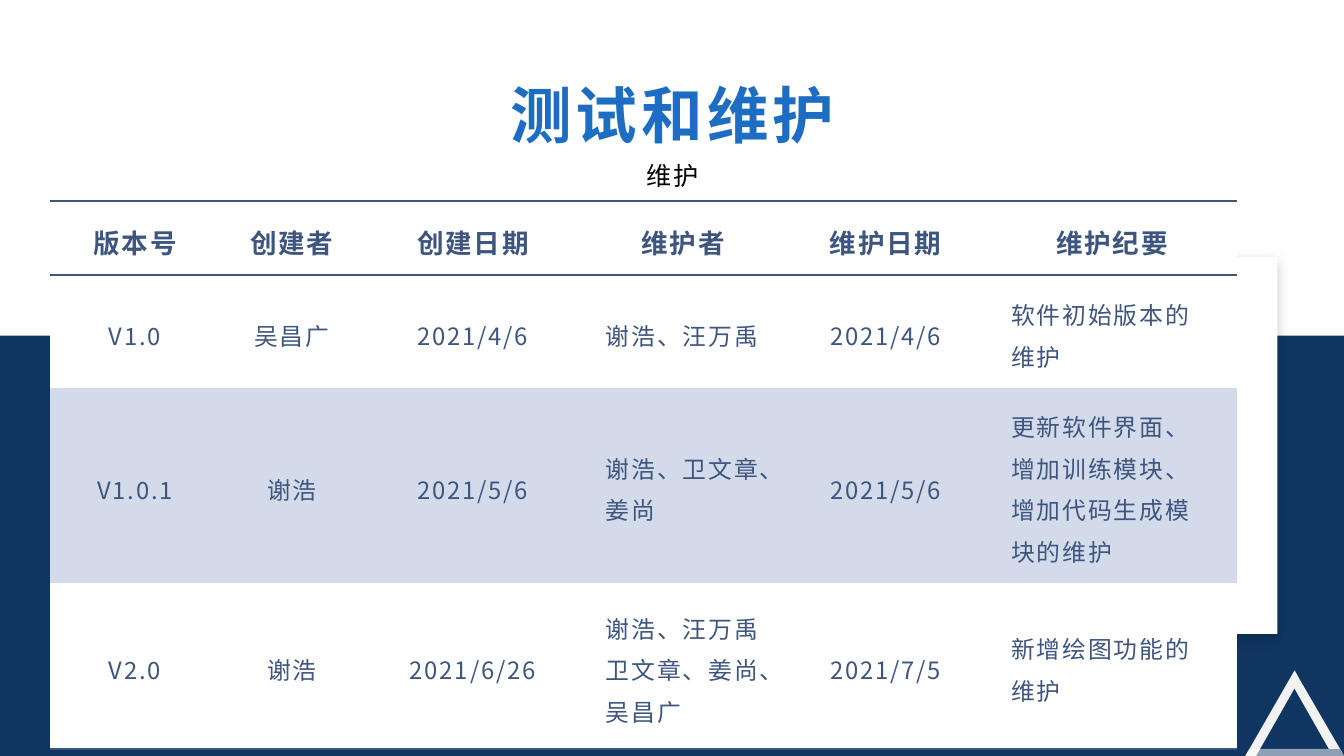
import pptx
import pptx.dml.color
import pptx.enum.shapes
import pptx.enum.text
import pptx.oxml.ns
import pptx.util
from lxml import etree

Inches = pptx.util.Inches
ALIGN = pptx.enum.text.PP_ALIGN
ANCHOR = pptx.enum.text.MSO_ANCHOR
FONT = "Noto Sans CJK SC"
NAVY, SLATE, BLUE, WHITE = "0F3661", "3D557F", "1D6DC2", "FFFFFF"
COLUMN_WIDTHS = [1.68, 1.43, 2.16, 2.01, 2.01, 2.48]
ROW_HEIGHTS = [0.74, 1.12, 1.93, 1.65]
LEFT_ALIGNED_COLUMNS = (3, 5)
RECORDS = [
    ["版本号", "创建者", "创建日期", "维护者", "维护日期", "维护纪要"],
    ["V1.0", "吴昌广", "2021/4/6", "谢浩、汪万禹", "2021/4/6", "软件初始版本的维护"],
    ["V1.0.1", "谢浩", "2021/5/6", "谢浩、卫文章、姜尚", "2021/5/6",
     "更新软件界面、增加训练模块、增加代码生成模块的维护"],
    ["V2.0", "谢浩", "2021/6/26", "谢浩、汪万禹卫文章、姜尚、吴昌广", "2021/7/5",
     "新增绘图功能的维护"],
]


def rgb(color):
    return pptx.dml.color.RGBColor.from_string(color)


def add_xml(parent, tag, **attributes):
    return etree.SubElement(parent, pptx.oxml.ns.qn(tag), attributes)


def format_text(paragraph, size, color, spacing, align, bold=False):
    """Format every run; spacing is the letter spacing in points."""
    paragraph.alignment = align
    for run in paragraph.runs:
        run.font.size = pptx.util.Pt(size)
        run.font.bold = bold
        run.font.color.rgb = rgb(color)
        run.font.name = FONT
        properties = run.font._element
        properties.set("spc", str(round(spacing * 100)))
        add_xml(properties, "a:ea", typeface=FONT)


def paint(shape, color):
    shape.fill.solid()
    shape.fill.fore_color.rgb = rgb(color)
    shape.line.fill.background()
    shape.shadow.inherit = False


def add_block(slide, left, top, width, height, color):
    block = slide.shapes.add_shape(
        pptx.enum.shapes.MSO_SHAPE.RECTANGLE,
        Inches(left), Inches(top), Inches(width), Inches(height))
    paint(block, color)
    return block


def add_panel(slide, left, top, width, height):
    panel = add_block(slide, left, top, width, height, WHITE)
    effects = panel._element.spPr.find(pptx.oxml.ns.qn("a:effectLst"))
    shadow = add_xml(effects, "a:outerShdw", blurRad=str(pptx.util.Pt(10)),
                     dist=str(pptx.util.Pt(3)), dir="5400000", rotWithShape="0")
    shade = add_xml(shadow, "a:srgbClr", val="000000")
    add_xml(shade, "a:alpha", val="20000")


def add_triangle(slide, left, top):
    """Draw the three-sided frame; its points are hundredths of an inch."""
    sides = [
        ([(55, 9), (98, 83), (95, 78), (84, 78), (47, 13)], "F2F2F2", 100),
        ([(55, 9), (10, 88), (0, 88), (0, 87), (50, 0)], "F2F2F2", 100),
        ([(95, 78), (101, 88), (0, 88), (0, 87), (5, 78)], WHITE, 53),
    ]
    triangle = slide.shapes.add_group_shape()
    for points, color, opacity in sides:
        builder = triangle.shapes.build_freeform(*points[0], scale=Inches(0.01))
        builder.add_line_segments(points[1:], close=True)
        side = builder.convert_to_shape(Inches(left), Inches(top))
        paint(side, color)
        if opacity < 100:
            tint = side._element.spPr.find(".//" + pptx.oxml.ns.qn("a:srgbClr"))
            add_xml(tint, "a:alpha", val=str(opacity * 1000))


def fill_heading(placeholder, left, top, width, height, text, anchor, **style):
    placeholder.left, placeholder.top = Inches(left), Inches(top)
    placeholder.width, placeholder.height = Inches(width), Inches(height)
    frame = placeholder.text_frame
    frame.text = text
    frame.word_wrap = True
    frame.auto_size = pptx.enum.text.MSO_AUTO_SIZE.NONE
    frame.vertical_anchor = anchor
    frame.margin_left = frame.margin_right = Inches(0.07)
    frame.margin_top = frame.margin_bottom = Inches(0.03)
    heading = frame.paragraphs[0]
    heading.line_spacing = 1.0
    heading.space_before = heading.space_after = pptx.util.Pt(0)
    format_text(heading, align=ALIGN.CENTER, **style)


def set_borders(cell, ruled_sides):
    """Rule the given sides (T, B) and clear the others."""
    properties = cell._tc.get_or_add_tcPr()
    for side in "LRTB":
        ruled = side in ruled_sides
        width = pptx.util.Pt(1.5) if ruled else 0
        border = add_xml(properties, "a:ln" + side, w=str(width))
        fill = add_xml(border, "a:solidFill" if ruled else "a:noFill")
        if ruled:
            add_xml(fill, "a:srgbClr", val=SLATE)


def add_maintenance_table(slide, left, top):
    table = slide.shapes.add_table(
        len(RECORDS), len(COLUMN_WIDTHS), Inches(left), Inches(top),
        Inches(sum(COLUMN_WIDTHS)), Inches(sum(ROW_HEIGHTS))).table
    for column, width in zip(table.columns, COLUMN_WIDTHS):
        column.width = Inches(width)
    for row, height in zip(table.rows, ROW_HEIGHTS):
        row.height = Inches(height)
    ruled_sides = ["TB", "T", "", "B"]
    for row_index, record in enumerate(RECORDS):
        is_header = row_index == 0
        for column_index, text in enumerate(record):
            cell = table.cell(row_index, column_index)
            set_borders(cell, ruled_sides[row_index])
            cell.fill.solid()
            cell.fill.fore_color.rgb = rgb("D3DBEA" if row_index == 2 else WHITE)
            cell.vertical_anchor = ANCHOR.MIDDLE
            cell.margin_left = cell.margin_right = Inches(0.24)
            cell.margin_top = cell.margin_bottom = Inches(0.14)
            cell.text_frame.text = text
            paragraph = cell.text_frame.paragraphs[0]
            paragraph.line_spacing = 1.2
            is_left = column_index in LEFT_ALIGNED_COLUMNS and not is_header
            format_text(paragraph, 19 if is_header else 17, SLATE, 1.3,
                        ALIGN.LEFT if is_left else ALIGN.CENTER, is_header)


def build_maintenance_slide(presentation):
    slide = presentation.slides.add_slide(presentation.slide_layouts[0])
    add_block(slide, 0, 3.33, 13.33, 4.17, NAVY)
    add_triangle(slide, 12.34, 6.65)
    add_panel(slide, 0.67, 2.55, 12, 3.74)
    fill_heading(slide.shapes.title, 0.67, 0.67, 12, 0.86, "测试和维护",
                 ANCHOR.BOTTOM, size=44, color=BLUE, spacing=2.8, bold=True)
    fill_heading(slide.placeholders[1], 0.67, 1.56, 12, 0.44, "维护",
                 ANCHOR.TOP, size=18, color="000000", spacing=1)
    add_maintenance_table(slide, 0.5, 1.99)


def main():
    presentation = pptx.Presentation()
    presentation.slide_width = Inches(13.33)
    presentation.slide_height = Inches(7.5)
    build_maintenance_slide(presentation)
    presentation.save("out.pptx")


if __name__ == "__main__":
    main()
